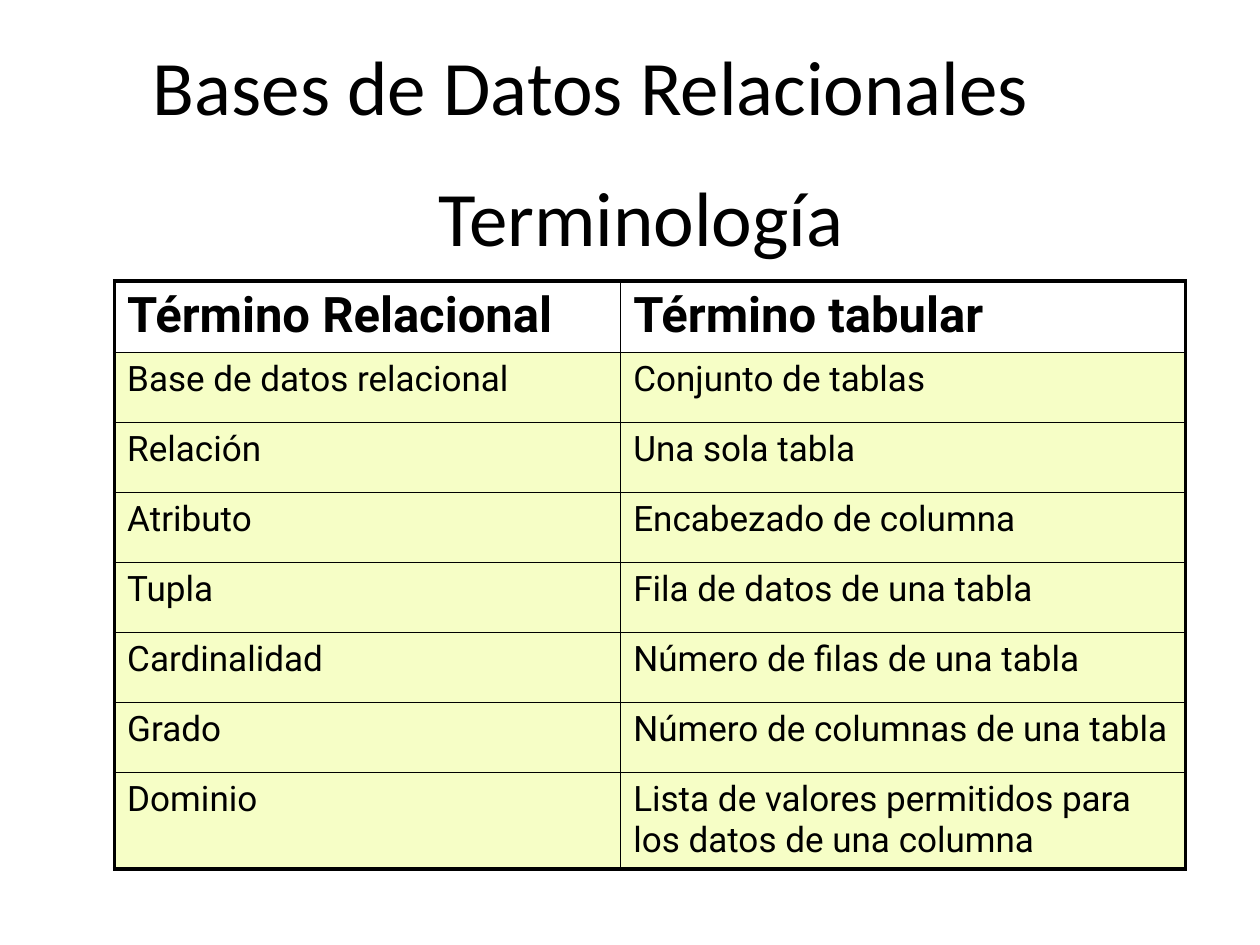
from lxml import etree
from pptx import Presentation
from pptx.dml.color import RGBColor
from pptx.enum.text import MSO_ANCHOR, PP_ALIGN
from pptx.oxml.ns import qn
from pptx.util import Pt

CENTER = PP_ALIGN.CENTER
TOP, MIDDLE = MSO_ANCHOR.TOP, MSO_ANCHOR.MIDDLE

BLACK, WHITE, CREAM = "000000", "FFFFFF", "F6FEC6"
OUTER, INNER = 2.25, 1

# text, (left, top, width, height), anchor
HEADINGS = [
    ("Bases de Datos Relacionales", (31, 3.6, 613.4, 90), MIDDLE),
    ("Terminología", (145.4, 93.6, 442, 60.5), TOP),
]
TERMS = [
    ("Término Relacional", "Término tabular"),
    ("Base de datos relacional", "Conjunto de tablas"),
    ("Relación", "Una sola tabla"),
    ("Atributo", "Encabezado de columna"),
    ("Tupla", "Fila de datos de una tabla"),
    ("Cardinalidad", "Número de filas de una tabla"),
    ("Grado", "Número de columnas de una tabla"),
    ("Dominio", "Lista de valores permitidos para los datos de una columna"),
]
TABLE_LEFT, TABLE_TOP, ROW_HEIGHT = 65.5, 160.6, 40
COLUMN_WIDTHS = [289.2, 322.8]


def color(value):
    return RGBColor.from_string(value)


def style(paragraph, name, size, bold=False):
    font = paragraph.font
    font.name, font.size, font.bold = name, Pt(size), bold
    font.color.rgb = color(BLACK)


def add_heading(slide, text, place, anchor):
    box = slide.shapes.add_textbox(*map(Pt, place))
    frame = box.text_frame
    frame.word_wrap = True
    frame.vertical_anchor = anchor
    frame.text = text
    para = frame.paragraphs[0]
    para.alignment = CENTER
    style(para, "Calibri", 44)


def add_borders(cell, widths):
    """Draw the left, right, top and bottom edges, widths in points."""
    properties = cell._tc.get_or_add_tcPr()
    for side, width in zip("LRTB", widths):
        line = etree.SubElement(properties, qn(f"a:ln{side}"), w=str(Pt(width)))
        fill = etree.SubElement(line, qn("a:solidFill"))
        etree.SubElement(fill, qn("a:srgbClr"), val=BLACK)


def add_terms(slide):
    last_row, last_column = len(TERMS) - 1, len(COLUMN_WIDTHS) - 1
    table = slide.shapes.add_table(
        len(TERMS), len(COLUMN_WIDTHS), Pt(TABLE_LEFT), Pt(TABLE_TOP),
        Pt(sum(COLUMN_WIDTHS)), Pt(ROW_HEIGHT * len(TERMS))).table
    table.horz_banding = False
    for column, width in zip(table.columns, COLUMN_WIDTHS):
        column.width = Pt(width)
    for r, texts in enumerate(TERMS):
        header = r == 0
        for c, text in enumerate(texts):
            cell = table.cell(r, c)
            on_edge = (c == 0, c == last_column, header, r == last_row)
            add_borders(cell, [OUTER if edge else INNER for edge in on_edge])
            cell.fill.solid()
            cell.fill.fore_color.rgb = color(WHITE if header else CREAM)
            cell.text = text
            style(cell.text_frame.paragraphs[0], "Roboto",
                  28 if header else 20, header)


def main():
    deck = Presentation()
    deck.slide_width, deck.slide_height = Pt(720), Pt(540)
    slide = deck.slides.add_slide(deck.slide_layouts[6])
    for heading in HEADINGS:
        add_heading(slide, *heading)
    add_terms(slide)
    deck.save("out.pptx")


if __name__ == "__main__":
    main()
